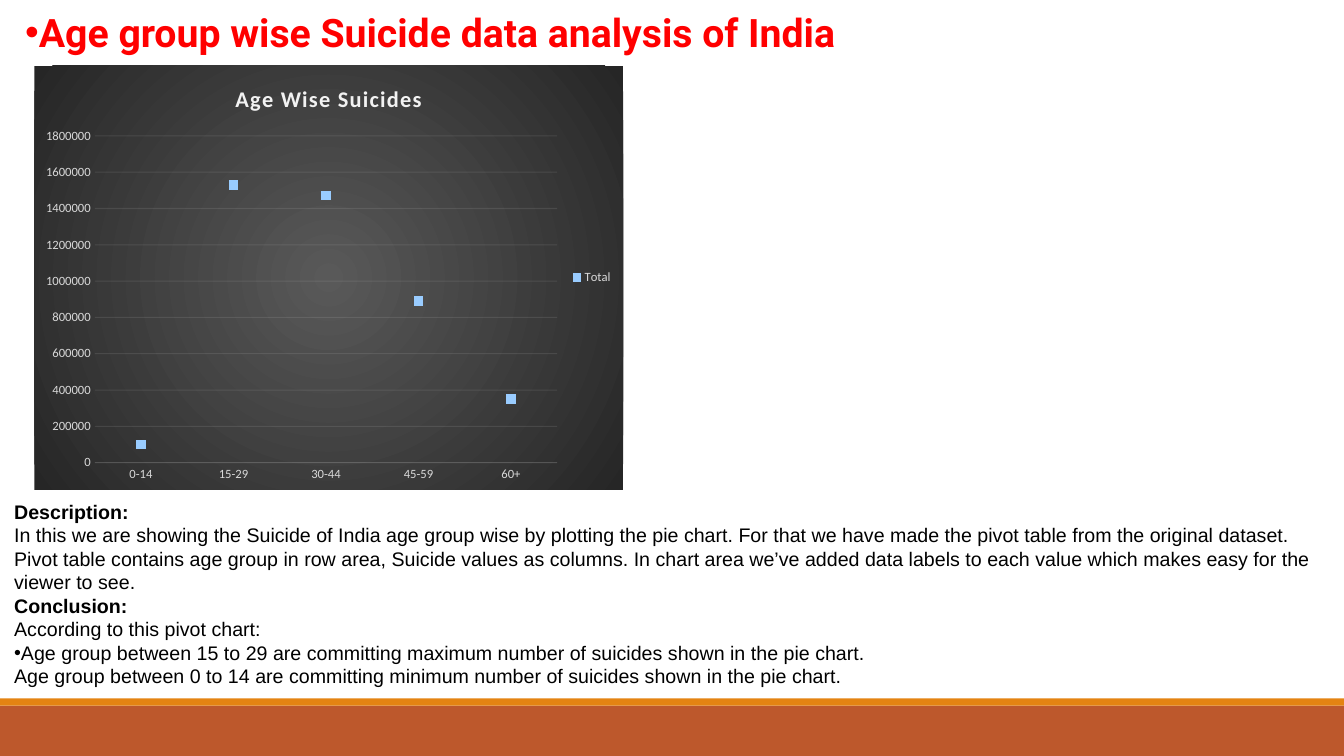
"""Build the slide on suicide data of India by age group."""
from lxml import etree
from pptx import Presentation
from pptx.chart.data import CategoryChartData
from pptx.dml.color import RGBColor
from pptx.enum import chart as ch, shapes, text
from pptx.oxml import parse_xml
from pptx.oxml.ns import nsdecls, qn
from pptx.util import Inches, Pt

COLORS = {
    "rust": "BD582C", "orange": "E48312", "red": "FF0000", "black": "000000",
    "marker": "99CCFF", "label": "D9D9D9", "light": "F2F2F2",
    "center": "595959", "edge": "262626",
}
SUICIDES = {"0-14": 100000, "15-29": 1530000, "30-44": 1470000,
            "45-59": 890000, "60+": 350000}
NOTES = [
    ("Description:", True, False),
    ("In this we are showing the Suicide of India age group wise by plotting the pie chart. "
     "For that we have made the pivot table from the original dataset. Pivot table contains "
     "age group in row area, Suicide values as columns. In chart area we’ve added data labels "
     "to each value which makes easy for the viewer to see.", False, False),
    ("Conclusion:", True, False),
    ("According to this pivot chart:", False, False),
    ("Age group between 15 to 29 are committing maximum number of suicides shown in the "
     "pie chart.", False, True),
    ("Age group between 0 to 14 are committing minimum number of suicides shown in the "
     "pie chart.", False, False),
]


def rgb(name):
    return RGBColor.from_string(COLORS[name])


def style_font(font, size, color, face, bold=False):
    font.size, font.name, font.bold = Pt(size), face, bold
    font.color.rgb = rgb(color)


def set_frame(frame, left, top, right):
    frame.word_wrap = True
    frame.auto_size = text.MSO_AUTO_SIZE.NONE
    frame.vertical_anchor = text.MSO_ANCHOR.MIDDLE
    frame.margin_left, frame.margin_top = Inches(left), Inches(top)
    frame.margin_right, frame.margin_bottom = Inches(right), 0


def add_bullet(paragraph):
    properties = paragraph._p.get_or_add_pPr()
    properties.set("marL", "0")
    properties.set("indent", "0")
    etree.SubElement(properties, qn("a:buFont")).set("typeface", "Arial")
    etree.SubElement(properties, qn("a:buChar")).set("char", "•")


def add_band(slide, top, height, color):
    band = slide.shapes.add_shape(shapes.MSO_SHAPE.RECTANGLE, 0, Inches(top),
                                  Inches(13.33), Inches(height))
    band.shadow.inherit = False
    band.fill.solid()
    band.fill.fore_color.rgb = rgb(color)
    band.line.fill.background()


def set_heading(slide):
    heading = slide.shapes.title
    heading.left, heading.top = 0, 0
    heading.width, heading.height = Inches(9.05), Inches(0.58)
    set_frame(heading.text_frame, 0.25, 0.06, 0.1)
    paragraph = heading.text_frame.paragraphs[0]
    paragraph.alignment = text.PP_ALIGN.LEFT
    add_bullet(paragraph)
    run = paragraph.add_run()
    run.text = "Age group wise Suicide data analysis of India"
    style_font(run.font, 28, "red", "Roboto", True)


def add_notes(slide):
    notes = slide.shapes.add_textbox(Inches(0.07), Inches(4.85), Inches(13.28), Inches(1.98))
    frame = notes.text_frame
    set_frame(frame, 0.07, 0.1, 0.1)
    for index, (wording, bold, bulleted) in enumerate(NOTES):
        paragraph = frame.add_paragraph() if index else frame.paragraphs[0]
        if bulleted:
            add_bullet(paragraph)
        run = paragraph.add_run()
        run.text = wording
        style_font(run.font, 14, "black", "Arial", bold)


def set_faint_line(line):
    line.width = Pt(0.75)
    line.color.rgb = rgb("light")
    color = line._ln.find(".//" + qn("a:srgbClr"))
    etree.SubElement(color, qn("a:alpha")).set("val", "10000")


def set_gradient(chart):
    background = parse_xml(
        f'<c:spPr {nsdecls("c", "a")}><a:gradFill><a:gsLst>'
        f'<a:gs pos="0"><a:srgbClr val="{COLORS["center"]}"/></a:gs>'
        f'<a:gs pos="100000"><a:srgbClr val="{COLORS["edge"]}"/></a:gs></a:gsLst>'
        '<a:path path="circle"><a:fillToRect l="50000" t="50000" r="50000" b="50000"/></a:path>'
        '</a:gradFill><a:ln><a:noFill/></a:ln></c:spPr>')
    chart._chartSpace.find(qn("c:chart")).addnext(background)


def add_age_chart(slide):
    ages = CategoryChartData()
    ages.categories = list(SUICIDES)
    ages.add_series("Total", list(SUICIDES.values()))
    chart = slide.shapes.add_chart(ch.XL_CHART_TYPE.LINE_MARKERS, Inches(0.34), Inches(0.65),
                                   Inches(5.84), Inches(4.21), ages).chart
    style_font(chart.font, 10, "black", "Calibri")
    set_gradient(chart)

    chart.has_title = True
    caption = chart.chart_title.text_frame.paragraphs[0].add_run()
    caption.text = "Age Wise Suicides"
    style_font(caption.font, 16, "light", "Calibri", True)
    caption.font._element.set("spc", "100")
    chart.chart_title.include_in_layout = False

    chart.has_legend = True
    chart.legend.position = ch.XL_LEGEND_POSITION.RIGHT
    chart.legend.include_in_layout = False
    style_font(chart.legend.font, 9, "label", "Calibri")

    for axis in (chart.category_axis, chart.value_axis):
        axis.major_tick_mark = axis.minor_tick_mark = ch.XL_TICK_MARK.NONE
        style_font(axis.tick_labels.font, 9, "label", "Calibri")
    set_faint_line(chart.category_axis.format.line)
    chart.value_axis.format.line.fill.background()
    set_faint_line(chart.value_axis.major_gridlines.format.line)
    chart.value_axis.minimum_scale = 0
    chart.value_axis.maximum_scale = 1800000
    chart.value_axis.major_unit = 200000

    chart.plots[0].vary_by_categories = False
    total = chart.plots[0].series[0]
    total.smooth = False
    total.format.line.fill.background()
    total.marker.style = ch.XL_MARKER_STYLE.SQUARE
    total.marker.size = 6
    total.marker.format.fill.solid()
    total.marker.format.fill.fore_color.rgb = rgb("marker")
    total.marker.format.line.fill.background()


def main():
    deck = Presentation()
    deck.slide_width, deck.slide_height = Inches(13.33), Inches(7.5)
    slide = deck.slides.add_slide(deck.slide_layouts[5])
    add_band(slide, 7, 0.5, "rust")
    add_band(slide, 6.93, 0.07, "orange")
    set_heading(slide)
    add_notes(slide)
    add_age_chart(slide)
    deck.save("out.pptx")


if __name__ == "__main__":
    main()
